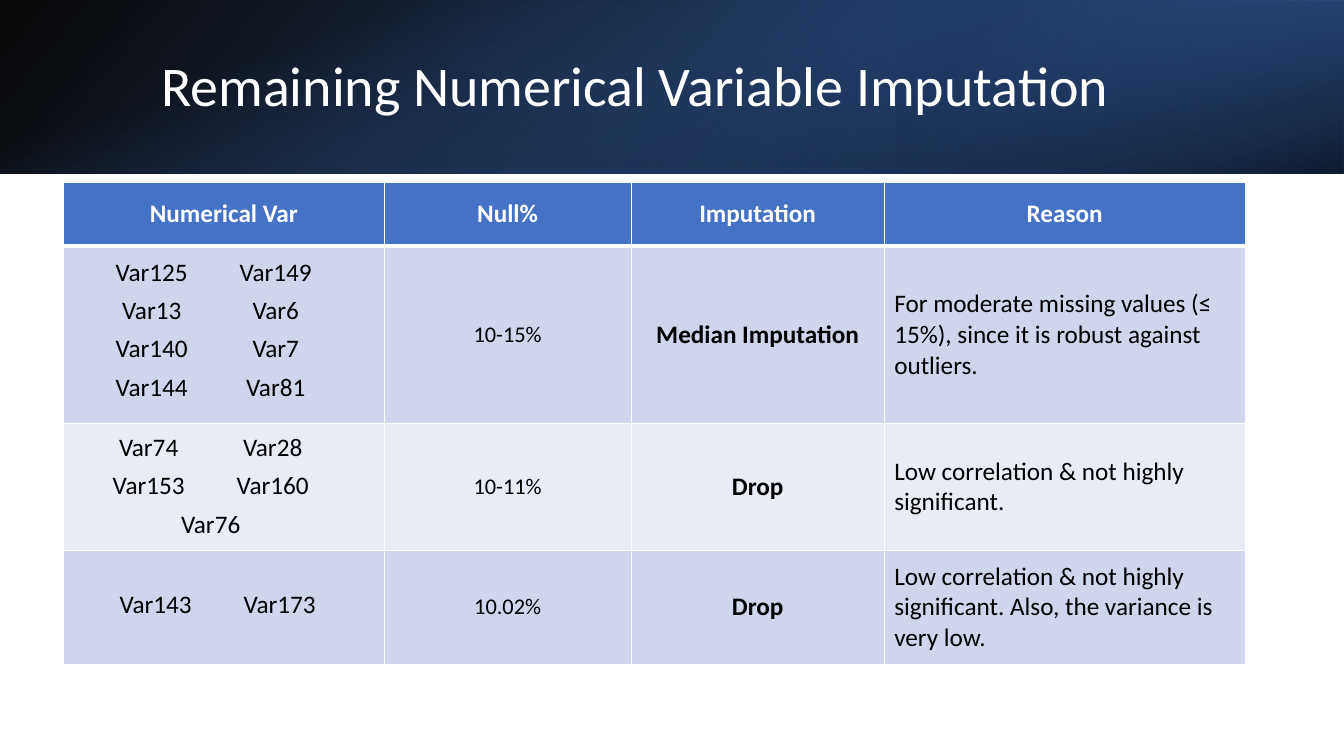
"""Build the slide on imputing the remaining numerical variables."""
from lxml.etree import SubElement as Sub
from pptx import Presentation
from pptx.dml.color import RGBColor as RGB
from pptx.enum.shapes import MSO_SHAPE as Kind
from pptx.enum.text import MSO_ANCHOR as Anchor, PP_ALIGN as Align
from pptx.oxml.ns import qn
from pptx.util import Inches, Pt

COLORS = {
    "white": "FFFFFF", "black": "000000", "blue": "4472C4", "mid": "2F5597",
    "navy": "203864", "dark": "CFD5EA", "light": "E9EBF5",
}
FONT = "Calibri"
PLAIN = "{2D5ABB26-0587-4C30-8999-92F81FD0307C}"
HEADS = ["Numerical Var", "Null%", "Imputation", "Reason"]
ROWS = [
    ["", "10-15%", "Median Imputation",
     "For moderate missing values (≤ 15%), since it is robust against outliers."],
    ["", "10-11%", "Drop", "Low correlation & not highly significant."],
    ["", "10.02%", "Drop",
     "Low correlation & not highly significant. Also, the variance is very low."],
]
GROUPS = [
    (0.89, 2.55, [("Var125", "Var149"), ("Var13", "Var6"),
                  ("Var140", "Var7"), ("Var144", "Var81")]),
    (0.86, 4.29, [("Var74", "Var28"), ("Var153", "Var160"), ("Var76",)]),
    (0.93, 5.85, [("Var143", "Var173")]),
]


def color(name):
    return RGB.from_string(COLORS[name])


def add_band(slide, box, stops, angle, turn=0, flip=False):
    band = slide.shapes.add_shape(Kind.RECTANGLE, *map(Inches, box))
    band.shadow.inherit = False
    band.line.fill.background()
    band.rotation = turn
    if flip:
        band._element.spPr.find(qn("a:xfrm")).set("flipH", "1")
    band.fill.gradient()
    band.fill.gradient_angle = 360 - angle
    for stop, (place, name, alpha) in zip(band.fill.gradient_stops, stops):
        stop.position = place / 100
        stop.color.rgb = color(name)
    tones = band._element.spPr.iter(qn("a:srgbClr"))
    for tone, (place, name, alpha) in zip(tones, stops):
        Sub(tone, qn("a:alpha"), val=str(alpha * 1000))


def set_text(para, text, size, tone="black", bold=False, align=None):
    para.text = text
    para.alignment = align
    font = para.font
    font.name, font.size, font.bold = FONT, Pt(size), bold
    font.color.rgb = color(tone)


def add_title(slide, text):
    box = slide.shapes.add_textbox(*map(Inches, (1.5, 0.26, 10.98, 1.23)))
    frame = box.text_frame
    frame.word_wrap = True
    frame.vertical_anchor = Anchor.MIDDLE
    para = frame.paragraphs[0]
    set_text(para, text, 40, "white")
    para.line_spacing = 0.9
    para.space_after = Pt(6)


def add_grid(slide, left, top, widths, heights):
    size = (left, top, sum(widths), sum(heights))
    shape = slide.shapes.add_table(
        len(heights), len(widths), *map(Inches, size))
    grid = shape.table
    grid.first_row = grid.horz_banding = False
    grid._tbl.tblPr.find(qn("a:tableStyleId")).text = PLAIN
    for col, width in zip(grid.columns, widths):
        col.width = Inches(width)
    for row, height in zip(grid.rows, heights):
        row.height = Inches(height)
    for cell in grid.iter_cells():
        cell.vertical_anchor = Anchor.MIDDLE
    return grid


def set_edges(cell, top, bottom):
    props = cell._tc.get_or_add_tcPr()
    for side, width in zip("LRTB", (1, 1, top, bottom)):
        line = Sub(props, qn(f"a:ln{side}"), w=str(Pt(width)))
        fill = Sub(line, qn("a:solidFill"))
        Sub(fill, qn("a:srgbClr"), val=COLORS["white"])


def add_main(slide):
    grid = add_grid(slide, 0.63, 1.81, [3.18, 2.45, 2.51, 3.58],
                    [0.63, 1.76, 1.26, 1.13])
    for r, row in enumerate([HEADS] + ROWS):
        head = r == 0
        shade = "blue" if head else "dark" if r % 2 else "light"
        for c, text in enumerate(row):
            cell = grid.cell(r, c)
            set_edges(cell, 3 if r == 1 else 1, 3 if head else 1)
            cell.fill.solid()
            cell.fill.fore_color.rgb = color(shade)
            set_text(cell.text_frame.paragraphs[0], text,
                     16 if c == 1 and not head else 18,
                     "white" if head else "black", head or c == 2,
                     Align.CENTER if head or c < 3 else Align.LEFT)


def add_vars(slide, left, top, rows):
    grid = add_grid(slide, left, top, [1.23] * 2, [0.38] * len(rows))
    for cell in grid.iter_cells():
        cell.fill.background()
        cell.margin_left = cell.margin_top = cell.margin_right = 0
        cell.margin_bottom = Inches(0.08)
    for r, names in enumerate(rows):
        if len(names) == 1:
            grid.cell(r, 0).merge(grid.cell(r, 1))
        for c, name in enumerate(names):
            set_text(grid.cell(r, c).text_frame.paragraphs[0], name, 18,
                     align=Align.CENTER)


def main():
    deck = Presentation()
    deck.slide_width, deck.slide_height = Inches(13.33), Inches(7.5)
    slide = deck.slides.add_slide(deck.slide_layouts[6])
    add_band(slide, (0, 0, 13.33, 1.72),
             [(0, "black", 96), (100, "mid", 100)], 140, flip=True)
    add_band(slide, (8.89, 0, 4.44, 1.72),
             [(19, "navy", 68), (100, "blue", 79)], 320, 180, True)
    add_band(slide, (5.8, -5.8, 1.72, 13.33),
             [(23, "blue", 0), (99, "black", 74)], 340, 90)
    add_title(slide, "Remaining Numerical Variable Imputation")
    add_main(slide)
    for group in GROUPS:
        add_vars(slide, *group)
    deck.save("out.pptx")


if __name__ == "__main__":
    main()
